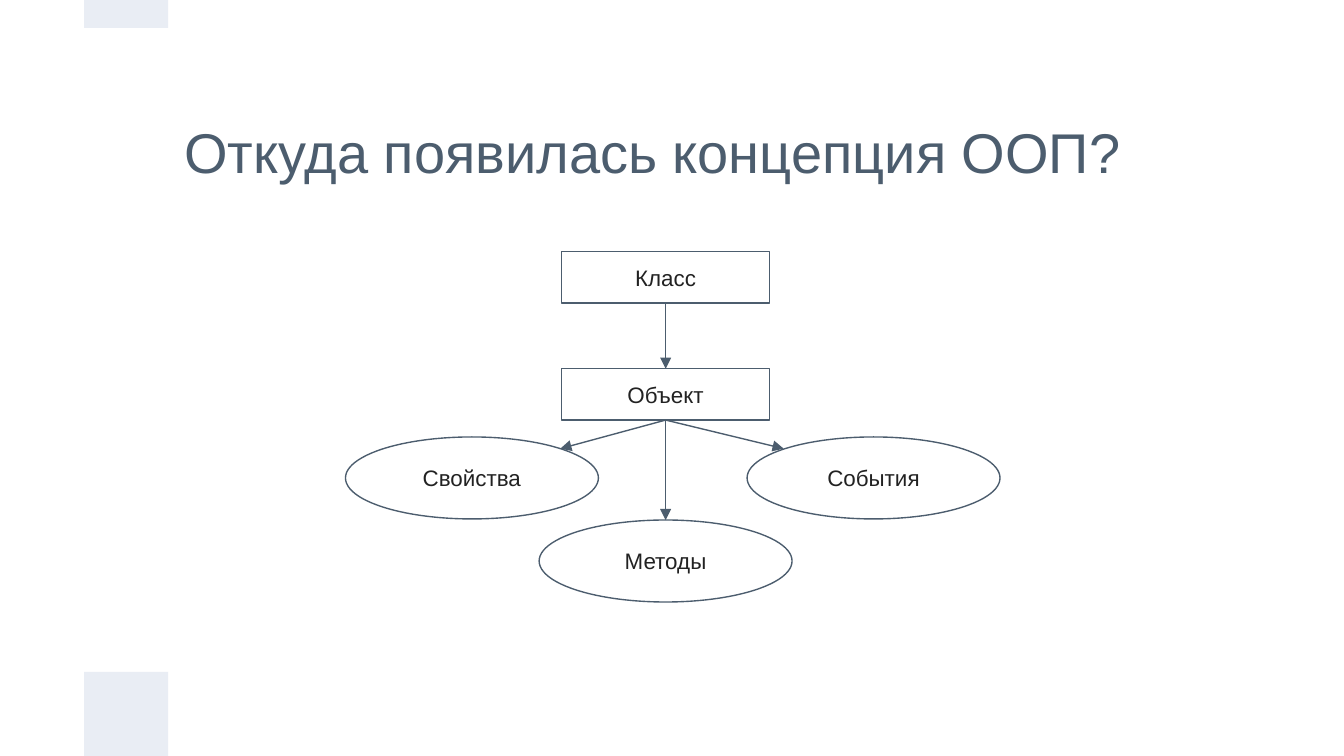
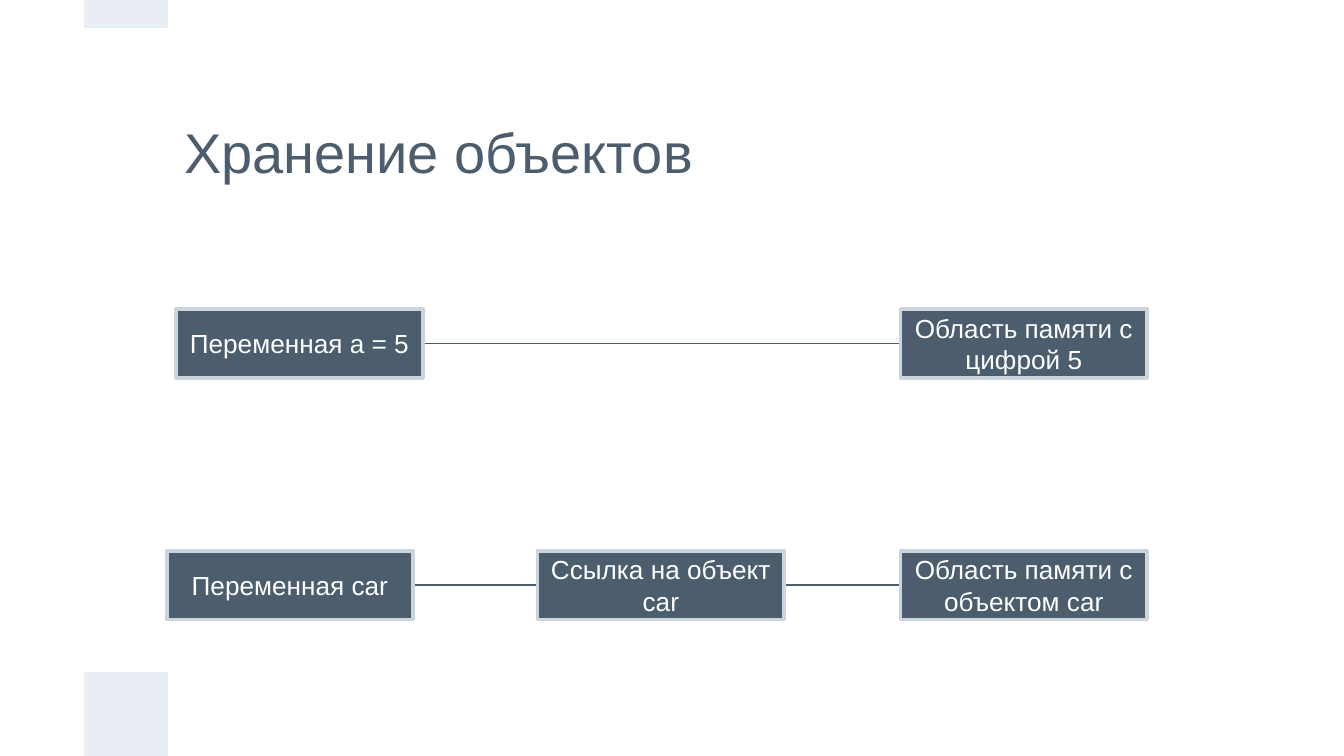
from itertools import pairwise

from lxml import etree
from pptx import Presentation
from pptx import util as u
from pptx.dml import color
from pptx.enum import shapes, text
from pptx.oxml import ns

HUES = {"band": "E9EDF4", "slate": "4C5D6E", "edge": "CCD4DC",
        "ink": "222222", "white": "FFFFFF"}
FONT = "Arial"
RECT = shapes.MSO_SHAPE.RECTANGLE
OVAL = shapes.MSO_SHAPE.OVAL
LEFT, MID = text.PP_ALIGN.LEFT, text.PP_ALIGN.CENTER


def hue(name):
    return color.RGBColor.from_string(HUES[name])


class Deck:
    def __init__(self):
        self.prs = Presentation()
        self.prs.slide_width, self.prs.slide_height = u.Cm(25.4), u.Cm(14.29)
        self.slide = None

    def page(self, title):
        """Start a slide with its two bands and its title."""
        self.slide = self.prs.slides.add_slide(self.prs.slide_layouts[6])
        for top, high in ((12.7, 1.59), (0, 0.53)):
            self.shape(RECT, (1.59, top, 1.59, high), fill="band")
        box = self.slide.shapes.add_textbox(*map(u.Cm, (3.15, 1.59, 19.05, 2.54)))
        self.label(box, title, 30, "slate", LEFT, (0.33, 0.33))

    def label(self, shape, words, size, tint, align, pad):
        frame = shape.text_frame
        side, top = map(u.Cm, pad)
        style = {"word_wrap": True, "vertical_anchor": text.MSO_ANCHOR.MIDDLE,
                 "margin_left": side, "margin_right": side,
                 "margin_top": top, "margin_bottom": top}
        for key, value in style.items():
            setattr(frame, key, value)
        para = frame.paragraphs[0]
        para.text, para.alignment = words, align
        for key, value in {"name": FONT, "size": u.Pt(size)}.items():
            setattr(para.font, key, value)
        para.font.color.rgb = hue(tint)

    def shape(self, kind, rect, fill=None, line=None, width=0.75):
        item = self.slide.shapes.add_shape(kind, *map(u.Cm, rect))
        item.shadow.inherit = False
        if fill:
            item.fill.solid()
            item.fill.fore_color.rgb = hue(fill)
        else:
            item.fill.background()
        if line:
            item.line.color.rgb = hue(line)
            item.line.width = u.Pt(width)
        else:
            item.line.fill.background()
        return item

    def node(self, kind, rect, words):
        item = self.shape(kind, rect, line="slate")
        self.label(item, words, 12, "ink", MID, (0.25, 0.25))

    def block(self, rect, words):
        item = self.shape(RECT, rect, "slate", "edge", 2)
        self.label(item, words, 14, "white", MID, (0.25, 0.13))

    def link(self, start, end, arrow=False):
        item = self.slide.shapes.add_connector(
            shapes.MSO_CONNECTOR.STRAIGHT, *map(u.Cm, (*start, *end)))
        item.line.color.rgb = hue("slate")
        item.line.width = u.Pt(0.75)
        props = item.line._get_or_add_ln()
        if arrow:
            etree.SubElement(props, ns.qn("a:tailEnd"), type="triangle")
        etree.SubElement(props.getparent(), ns.qn("a:effectLst"))


def origin(deck):
    deck.page("Откуда появилась концепция ООП?")
    axis, wide, high = 12.58, 3.94, 0.97
    top, low = 4.76, 6.97
    for y, words in ((top, "Класс"), (low, "Объект")):
        deck.node(RECT, (axis - wide / 2, y, wide, high), words)
    span, tall = 4.78, 1.55
    parts = ((8.92, 8.26, "Свойства"), (16.51, 8.26, "События"),
             (axis, 9.83, "Методы"))
    for x, y, words in parts:
        deck.node(OVAL, (x - span / 2, y, span, tall), words)
    base = (axis, low + high)
    deck.link((axis, top + high), (axis, low), arrow=True)
    for end in ((10.59, 8.48), (14.81, 8.48), (axis, 9.83)):
        deck.link(base, end, arrow=True)


def storage(deck):
    deck.page("Хранение объектов")
    wide, high = 4.66, 1.3
    rows = {5.84: ((3.33, "Переменная a = 5"),
                   (17.02, "Область памяти с цифрой 5")),
            10.41: ((3.15, "Переменная car"),
                    (10.16, "Ссылка на объект car"),
                    (17.02, "Область памяти с объектом car"))}
    for y, row in rows.items():
        axis = y + high / 2
        for (prev, _), (following, _) in pairwise(row):
            deck.link((prev + wide, axis), (following, axis))
        for x, words in row:
            deck.block((x, y, wide, high), words)


def main():
    deck = Deck()
    origin(deck)
    storage(deck)
    deck.prs.save("out.pptx")


if __name__ == "__main__":
    main()
